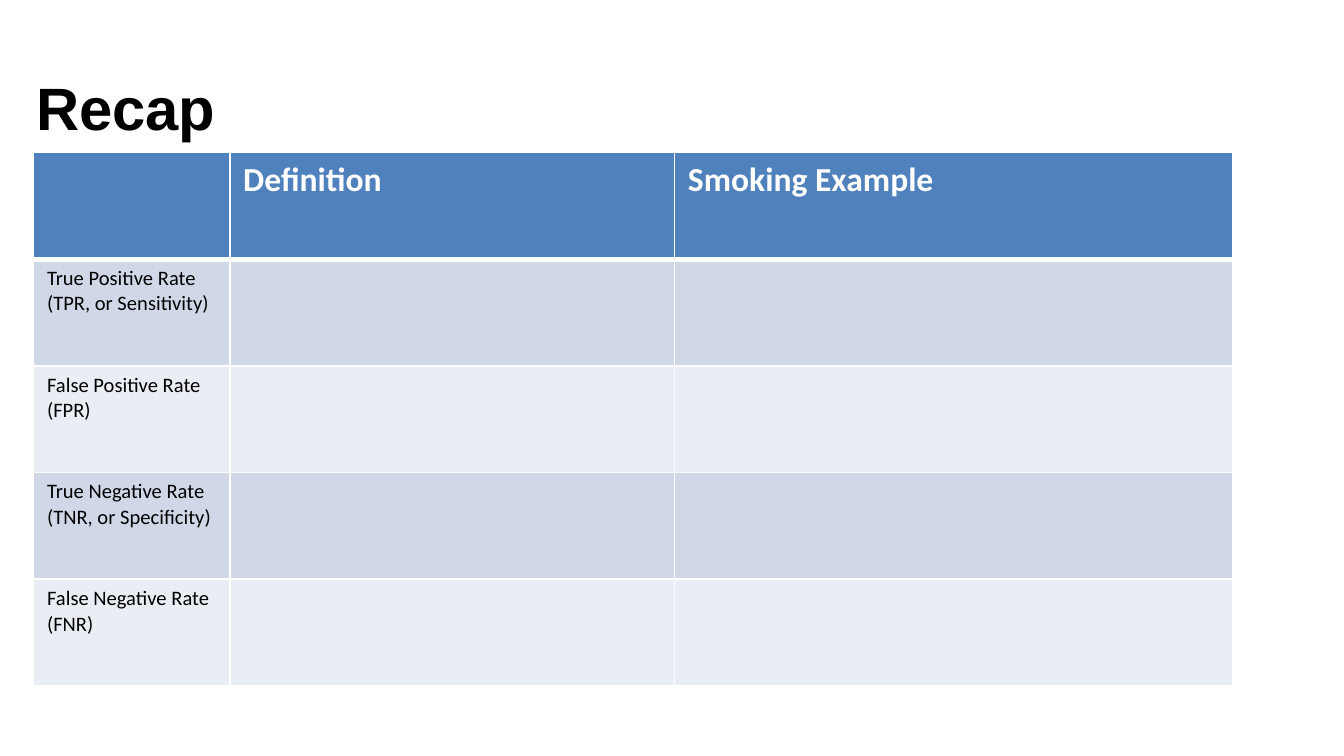
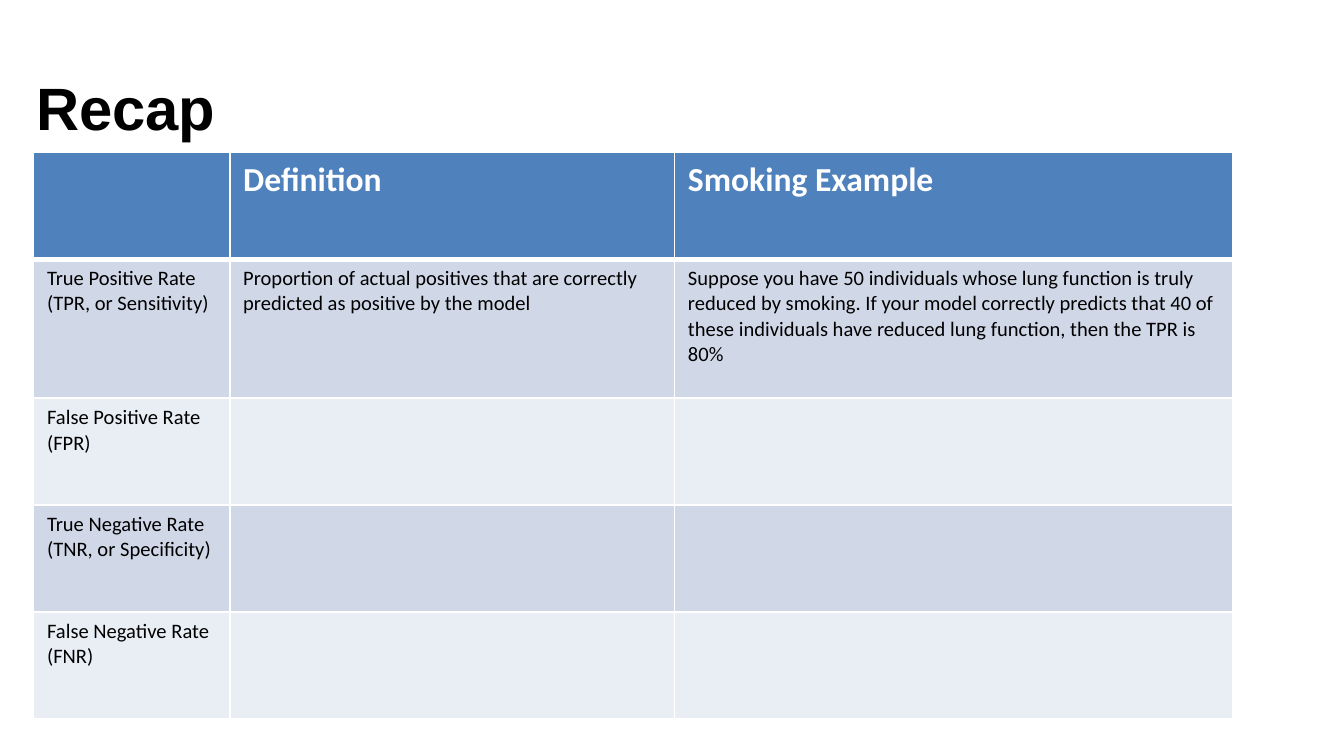
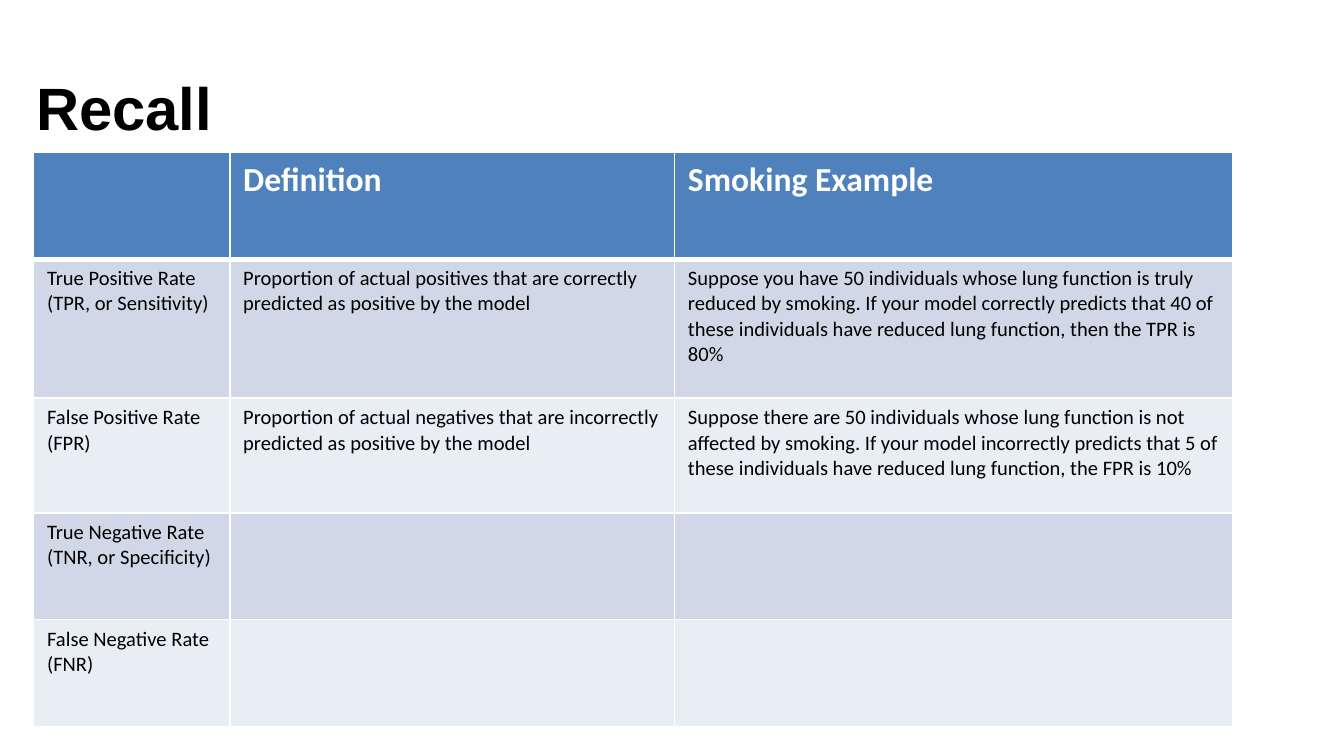
from lxml import etree
from pptx import Presentation
from pptx.dml.color import RGBColor
from pptx.enum.text import MSO_ANCHOR, MSO_AUTO_SIZE, PP_ALIGN
from pptx.oxml.ns import qn
from pptx.util import Pt

LEFT, MIDDLE, NO_FIT = PP_ALIGN.LEFT, MSO_ANCHOR.MIDDLE, MSO_AUTO_SIZE.NONE

HEADINGS = ("", "Definition", "Smoking Example")
# Rate, definition, smoking example, row height once the answers are shown
RATES = [
    ("True Positive Rate (TPR, or Sensitivity)",
     "Proportion of actual positives that are correctly predicted as positive by the model",
     "Suppose you have 50 individuals whose lung function is truly reduced by smoking. "
     "If your model correctly predicts that 40 of these individuals have reduced lung "
     "function, then the TPR is 80%", 74.6),
    ("False Positive Rate\n(FPR)",
     "Proportion of actual negatives that are incorrectly predicted as positive by the model",
     "Suppose there are 50 individuals whose lung function is not affected by smoking. "
     "If your model incorrectly predicts that 5 of these individuals have reduced lung "
     "function, the FPR is 10%", 61.4),
    ("True Negative Rate (TNR, or Specificity)", "", "", 57.2),
    ("False Negative Rate\n(FNR)", "", "", 57.2),
]
# Title, number of rates whose answers are shown
SLIDES = [("Recap", 0), ("Recap", 1), ("Recall", 2)]

BLACK, WHITE = "000000", "FFFFFF"
HEADER_FILL, BAND_FILLS = "4F81BD", ("D0D8E8", "E9EDF4")
TITLE_BOX = (12.2, 41, 648, 32.4)
TABLE_LEFT, TABLE_TOP = 18, 81.6
COLUMN_WIDTHS = (105.1, 238.3, 298.8)
ROW_HEIGHT = 57.2
RULE, HEADER_RULE = 1, 3


def rgb(color):
    return RGBColor.from_string(color)


def write(frame, text, *, font, size, color, bold=False):
    """Fill a text frame, one paragraph per line of text."""
    frame.text = text
    for paragraph in frame.paragraphs:
        paragraph.alignment = LEFT
        for run in paragraph.runs:
            run.font.name = font
            run.font.size = Pt(size)
            run.font.bold = bold
            run.font.color.rgb = rgb(color)


def style_cell(cell, fill, top, bottom):
    """Draw white borders, then the fill, in the order the schema asks for."""
    properties = cell._tc.get_or_add_tcPr()
    for side, width in (("L", RULE), ("R", RULE), ("T", top), ("B", bottom)):
        line = etree.SubElement(properties, qn(f"a:ln{side}"), w=str(Pt(width)))
        solid = etree.SubElement(line, qn("a:solidFill"))
        etree.SubElement(solid, qn("a:srgbClr"), val=WHITE)
    cell.fill.solid()
    cell.fill.fore_color.rgb = rgb(fill)


def add_title(slide, text):
    title = slide.shapes.title
    title.left, title.top, title.width, title.height = map(Pt, TITLE_BOX)
    frame = title.text_frame
    frame.auto_size = NO_FIT
    frame.vertical_anchor = MIDDLE
    write(frame, text, font="Arial", size=32, color=BLACK, bold=True)


def add_rates_table(slide, answered):
    rows, heights = [HEADINGS], [ROW_HEIGHT]
    for index, (rate, definition, example, height) in enumerate(RATES):
        shown = index < answered
        rows.append((rate, definition, example) if shown else (rate, "", ""))
        heights.append(height if shown else ROW_HEIGHT)

    table = slide.shapes.add_table(
        len(rows), len(HEADINGS), Pt(TABLE_LEFT), Pt(TABLE_TOP),
        Pt(sum(COLUMN_WIDTHS)), Pt(sum(heights))).table
    for column, width in zip(table.columns, COLUMN_WIDTHS):
        column.width = Pt(width)

    for r, (texts, height) in enumerate(zip(rows, heights)):
        table.rows[r].height = Pt(height)
        header = r == 0
        fill = HEADER_FILL if header else BAND_FILLS[(r - 1) % 2]
        for c, text in enumerate(texts):
            cell = table.cell(r, c)
            style_cell(cell, fill, top=HEADER_RULE if r == 1 else RULE,
                       bottom=HEADER_RULE if header else RULE)
            if text:
                write(cell.text_frame, text, font="Calibri", bold=header,
                      size=18 if header else 11, color=WHITE if header else BLACK)


def main():
    deck = Presentation()
    deck.slide_width, deck.slide_height = Pt(720), Pt(405)
    title_only = deck.slide_layouts[5]
    for title, answered in SLIDES:
        slide = deck.slides.add_slide(title_only)
        add_title(slide, title)
        add_rates_table(slide, answered)
    deck.save("out.pptx")


if __name__ == "__main__":
    main()
